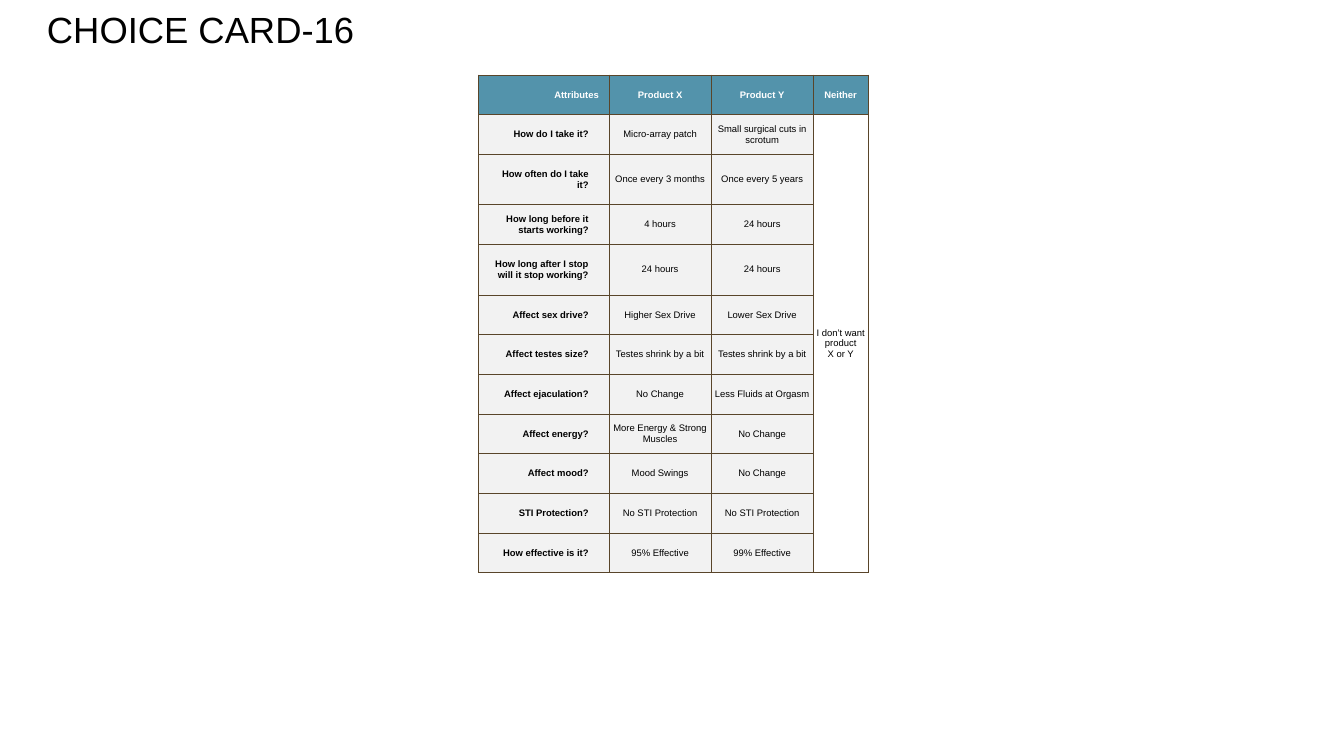
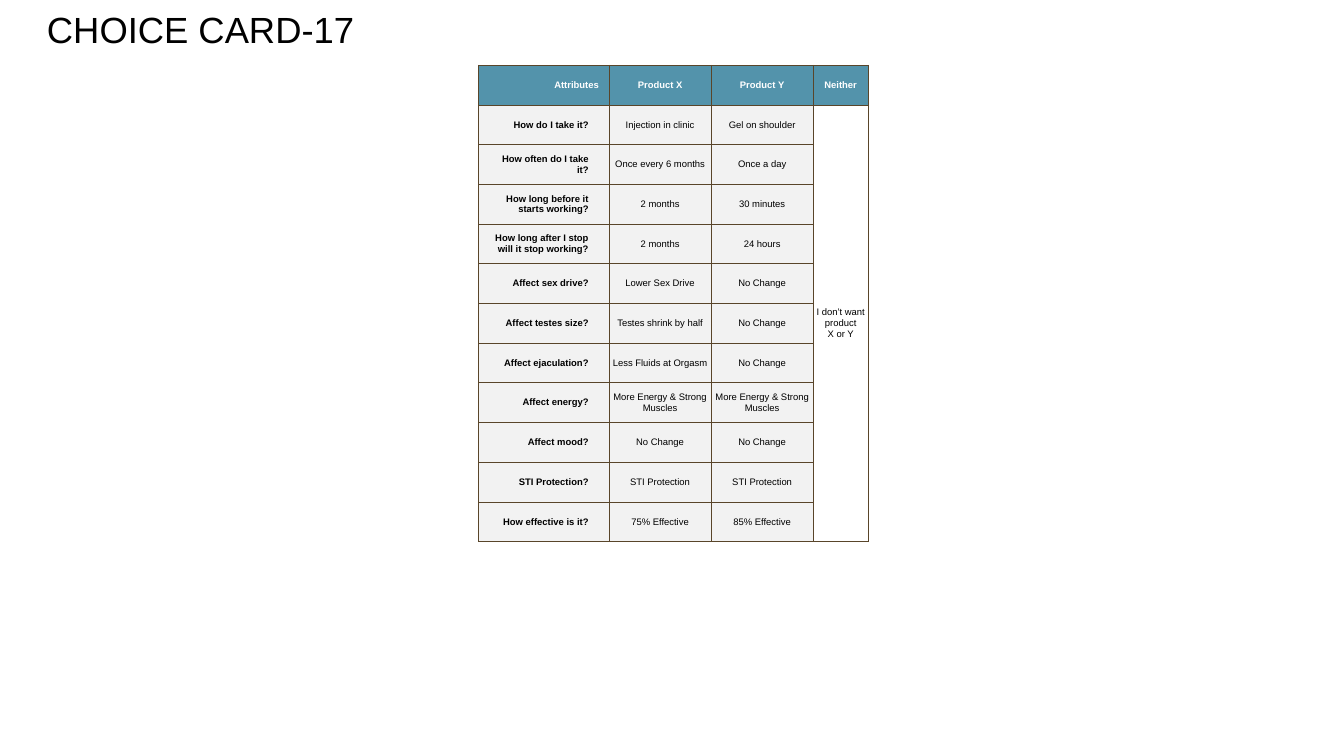
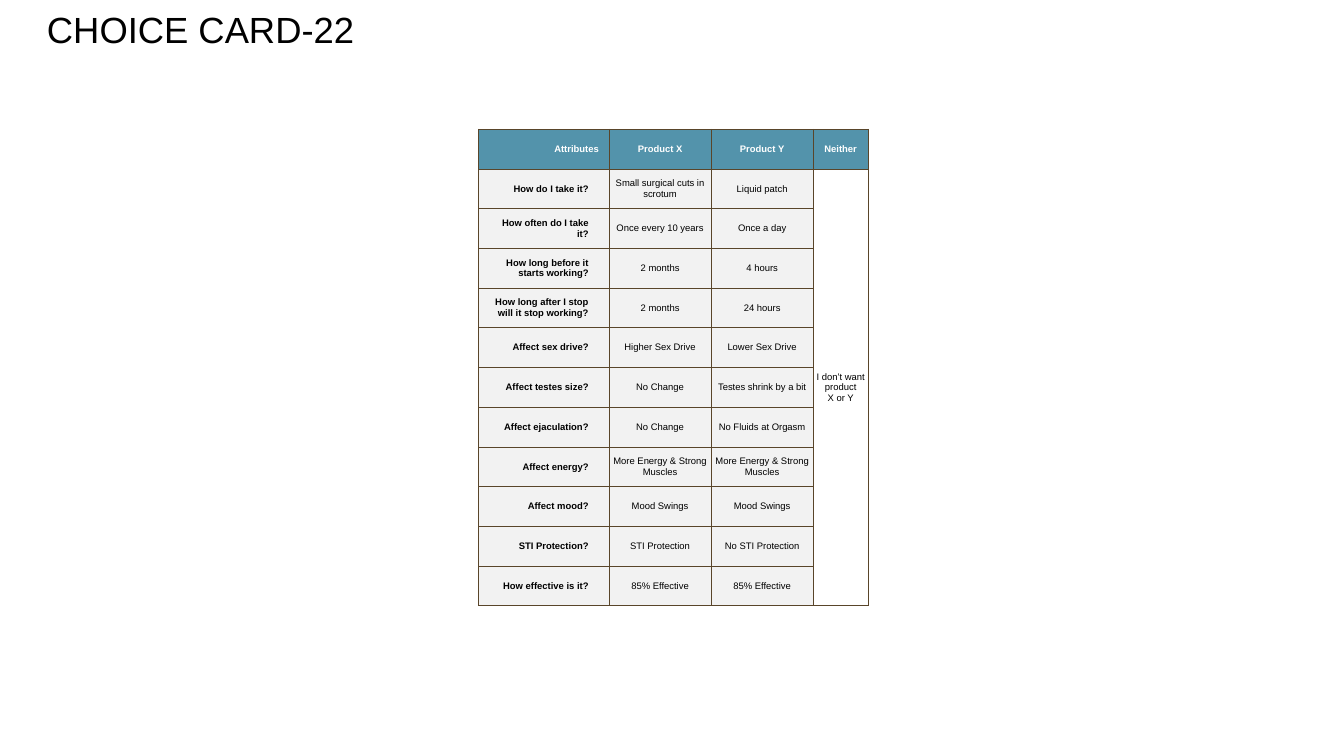
from pptx import Presentation
from pptx.dml.color import RGBColor
from pptx.enum.text import MSO_ANCHOR, PP_ALIGN
from pptx.oxml import parse_xml
from pptx.oxml.ns import nsdecls
from pptx.util import Inches, Pt

# Shared look
FONT = "Arial"
BLACK = RGBColor(0x00, 0x00, 0x00)
WHITE = RGBColor(0xFF, 0xFF, 0xFF)
TEAL = RGBColor(0x53, 0x93, 0xAB)
GREY = RGBColor(0xF2, 0xF2, 0xF2)
BROWN = RGBColor(0x59, 0x45, 0x2A)

COLS = (2.3, 1.8, 1.8, 0.97)
ROW = 0.7
LEFT = 8.44
# Cell margins: left, top, right, bottom
WIDE = (0.18, 0.09, 0.18, 0.09)
ASK = (0.18, 0.09, 0.36, 0.09)
TIGHT = (0.04, 0.02, 0.04, 0.02)

# Content
HEADS = ("Attributes", "Product X", "Product Y", "Neither")
NONE = "I don’t want product\nX or Y"
ASKS = (
    "How do I take it?",
    "How often do I take it?",
    "How long before it starts working?",
    "How long after I stop will it stop working?",
    "Affect sex drive?",
    "Affect testes size?",
    "Affect ejaculation?",
    "Affect energy?",
    "Affect mood?",
    "STI Protection?",
    "How effective is it?",
)
# "tall" maps a row number to its height where it differs from ROW
CARDS = [
    {"title": "CHOICE CARD-16", "top": 1.32, "tall": {2: 0.89, 4: 0.89}, "pairs": [
        ("Micro-array patch", "Small surgical cuts in scrotum"),
        ("Once every 3 months", "Once every 5 years"),
        ("4 hours", "24 hours"),
        ("24 hours", "24 hours"),
        ("Higher Sex Drive", "Lower Sex Drive"),
        ("Testes shrink by a bit", "Testes shrink by a bit"),
        ("No Change", "Less Fluids at Orgasm"),
        ("More Energy & Strong Muscles", "No Change"),
        ("Mood Swings", "No Change"),
        ("No STI Protection", "No STI Protection"),
        ("95% Effective", "99% Effective"),
    ]},
    {"title": "CHOICE CARD-17", "top": 1.15, "tall": {}, "pairs": [
        ("Injection in clinic", "Gel on shoulder"),
        ("Once every 6 months", "Once a day"),
        ("2 months", "30 minutes"),
        ("2 months", "24 hours"),
        ("Lower Sex Drive", "No Change"),
        ("Testes shrink by half", "No Change"),
        ("Less Fluids at Orgasm", "No Change"),
        ("More Energy & Strong Muscles", "More Energy & Strong Muscles"),
        ("No Change", "No Change"),
        ("STI Protection", "STI Protection"),
        ("75% Effective", "85% Effective"),
    ]},
    {"title": "CHOICE CARD-22", "top": 2.28, "tall": {}, "pairs": [
        ("Small surgical cuts in scrotum", "Liquid patch"),
        ("Once every 10 years", "Once a day"),
        ("2 months", "4 hours"),
        ("2 months", "24 hours"),
        ("Higher Sex Drive", "Lower Sex Drive"),
        ("No Change", "Testes shrink by a bit"),
        ("No Change", "No Fluids at Orgasm"),
        ("More Energy & Strong Muscles", "More Energy & Strong Muscles"),
        ("Mood Swings", "Mood Swings"),
        ("STI Protection", "No STI Protection"),
        ("85% Effective", "85% Effective"),
    ]},
]


def style(para, size, color, bold=False):
    font = para.font
    font.name, font.size, font.bold = FONT, Pt(size), bold
    font.color.rgb = color


def add_title(slide, text):
    box = slide.shapes.add_textbox(Inches(0.73), Inches(0.42), Inches(18.05), Inches(0.74))
    box.text_frame.word_wrap = True
    para = box.text_frame.paragraphs[0]
    para.text = text
    para.line_spacing = Pt(30.7)
    style(para, 46.2, BLACK)


def add_lines(cell):
    # Borders must come before the fill
    props = cell._tc.get_or_add_tcPr()
    for side in ("lnL", "lnR", "lnT", "lnB"):
        props.append(parse_xml(
            f'<a:{side} {nsdecls("a")} w="{Pt(1)}"><a:solidFill>'
            f'<a:srgbClr val="{BROWN}"/></a:solidFill></a:{side}>'))


def fill_cell(cell, text, row, col):
    head, ask = row == 0, col == 0
    add_lines(cell)
    cell.fill.solid()
    cell.fill.fore_color.rgb = TEAL if head else WHITE if col == 3 else GREY
    cell.vertical_anchor = MSO_ANCHOR.MIDDLE
    gaps = WIDE if head else ASK if ask else TIGHT
    (cell.margin_left, cell.margin_top,
     cell.margin_right, cell.margin_bottom) = map(Inches, gaps)
    cell.text = text
    for para in cell.text_frame.paragraphs:
        para.alignment = PP_ALIGN.RIGHT if ask else PP_ALIGN.CENTER
        style(para, 12, WHITE if head else BLACK, head or ask)


def add_card(slide, card):
    rows = [HEADS] + [(ask, *pair, "") for ask, pair in zip(ASKS, card["pairs"])]
    rows[1] = (*rows[1][:3], NONE)
    highs = [card["tall"].get(i, ROW) for i in range(len(rows))]
    table = slide.shapes.add_table(
        len(rows), len(COLS), Inches(LEFT), Inches(card["top"]),
        Inches(sum(COLS)), Inches(sum(highs))).table
    table.first_row = table.horz_banding = False
    for col, width in zip(table.columns, COLS):
        col.width = Inches(width)
    for i, (texts, high) in enumerate(zip(rows, highs)):
        table.rows[i].height = Inches(high)
        for j, text in enumerate(texts):
            fill_cell(table.cell(i, j), text, i, j)
    # One "neither" answer spans all questions
    table.cell(1, 3).merge(table.cell(len(rows) - 1, 3))


def main():
    deck = Presentation()
    deck.slide_width, deck.slide_height = Inches(23.7), Inches(13.33)
    for card in CARDS:
        slide = deck.slides.add_slide(deck.slide_layouts[6])
        add_title(slide, card["title"])
        add_card(slide, card)
    deck.save("out.pptx")


if __name__ == "__main__":
    main()
